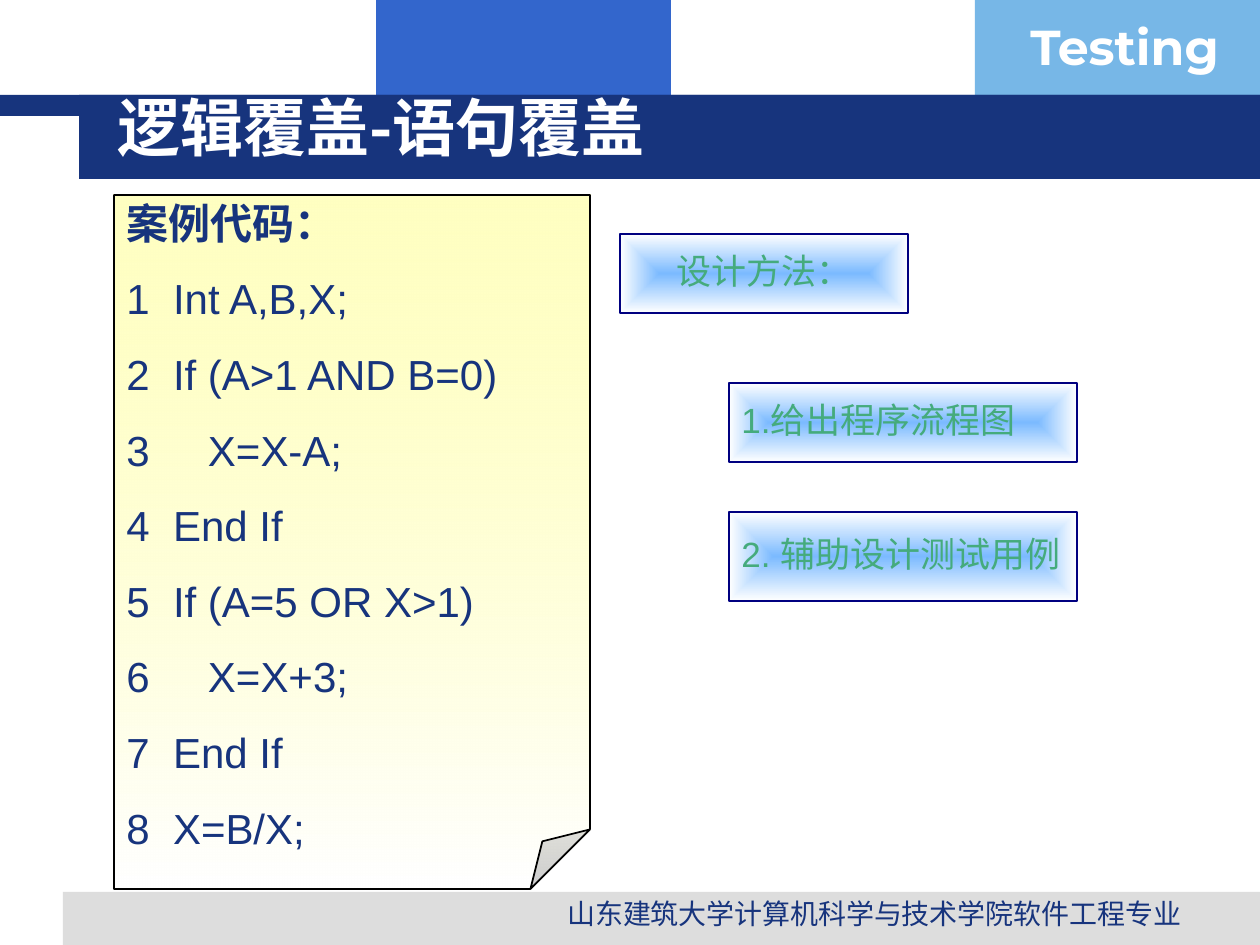
from lxml.etree import SubElement
from pptx import Presentation
from pptx.dml.color import RGBColor
from pptx.enum.shapes import MSO_SHAPE
from pptx.enum.text import MSO_ANCHOR, MSO_AUTO_SIZE, PP_ALIGN
from pptx.oxml import parse_xml
from pptx.oxml.ns import nsdecls, qn
from pptx.util import Emu, Pt

PX = 914400 // 126
NAVY, WHITE, GREEN = "17347D", "FFFFFF", "45AB7D"
CJK = "Noto Sans CJK SC"
CODE = [
    "案例代码：",
    "1  Int A,B,X;",
    "2  If (A>1 AND B=0)",
    "3     X=X-A;",
    "4  End If",
    "5  If (A=5 OR X>1)",
    "6     X=X+3;",
    "7  End If",
    "8  X=B/X;",
]


def px(*lengths):
    return [Emu(n * PX) for n in lengths]


def rgb(color):
    return RGBColor.from_string(color)


def set_text(sp, lines, size, color, font="Arial", bold=False,
             align=PP_ALIGN.LEFT, wrap=True, anchor=MSO_ANCHOR.TOP):
    tf = sp.text_frame
    tf.text = "\n".join(lines)
    tf.word_wrap = wrap
    tf.auto_size = MSO_AUTO_SIZE.NONE
    tf.vertical_anchor = anchor
    for p in tf.paragraphs:
        p.alignment = align
        for r in p.runs:
            r.font.size, r.font.bold, r.font.name = Pt(size), bold, font
            r.font.color.rgb = rgb(color)
            SubElement(r.font._element, qn("a:ea")).set("typeface", CJK)
    return tf


def add_shape(s, kind, box, line=None, width=1):
    sp = s.shapes.add_shape(kind, *px(*box))
    sp.shadow.inherit = False
    if line:
        sp.line.color.rgb = rgb(line)
        sp.line.width = Pt(width)
    else:
        sp.line.fill.background()
    return sp


def add_bar(s, box, color):
    sp = add_shape(s, MSO_SHAPE.RECTANGLE, box)
    sp.fill.solid()
    sp.fill.fore_color.rgb = rgb(color)


def set_gradient(sp, start, end, direction, alpha=100):
    sp.fill.background()
    spPr = sp._element.spPr
    grad = parse_xml(
        f'<a:gradFill {nsdecls("a")} rotWithShape="1"><a:gsLst>'
        f'<a:gs pos="0"><a:srgbClr val="{start}"><a:alpha val="{alpha * 1000}"/></a:srgbClr></a:gs>'
        f'<a:gs pos="100000"><a:srgbClr val="{end}"/></a:gs>'
        f'</a:gsLst>{direction}</a:gradFill>')
    spPr.replace(spPr.find(qn("a:noFill")), grad)


def add_text(s, box, text, size, color, **style):
    set_text(s.shapes.add_textbox(*px(*box)), [text], size, color, **style)


def add_header(s, x, y, w, title):
    add_bar(s, (x + 376, y, 295, 116), "3366CC")
    add_bar(s, (x + 975, y, 285, 116), "77B7E7")
    add_bar(s, (x, y + 95, w, 21), NAVY)
    add_bar(s, (x + 79, y + 95, w - 79, 84), NAVY)
    add_text(s, (x + 1018, y + 10, 243, 72), "Testing", 28, WHITE,
             font="Montserrat", bold=True)
    sp = s.shapes.title
    sp.left, sp.top, sp.width, sp.height = px(x + 105, y + 87, 1075, 78)
    set_text(sp, [title], 36, WHITE, font=CJK, bold=True, anchor=MSO_ANCHOR.MIDDLE)
    s.shapes._spTree.append(sp._element)  # bring the title in front of the bars


def add_footer(s, x, y, w, h, text):
    add_bar(s, (x, y, w, h), "DDDDDD")
    add_text(s, (x + 449, y - 2, 725, 39), text, 16, NAVY, align=PP_ALIGN.CENTER)


def add_code_note(s, box, lines):
    sp = add_shape(s, MSO_SHAPE.FOLDED_CORNER, box, "000000")
    # python-pptx lists no adjustment for this preset
    guides = next(sp._element.spPr.iter(qn("a:avLst")))
    fold = SubElement(guides, qn("a:gd"))
    fold.set("name", "adj")
    fold.set("fmla", "val 12500")
    set_gradient(sp, "FFFF99", WHITE, '<a:lin ang="5400000" scaled="1"/>', alpha=60)
    tf = set_text(sp, lines, 24, NAVY, wrap=False, anchor=MSO_ANCHOR.MIDDLE)
    for p in tf.paragraphs:
        p.line_spacing = 1.5
    tf.paragraphs[0].runs[0].font.bold = True


def add_method_box(s, box, text, align=PP_ALIGN.LEFT):
    sp = add_shape(s, MSO_SHAPE.RECTANGLE, box, "000080", 0.75)
    set_gradient(sp, "7BBAFF", WHITE,
                 '<a:path path="rect"><a:fillToRect l="50000" t="50000" r="50000" b="50000"/></a:path>')
    tf = set_text(sp, [text], 20, GREEN, align=align, wrap=False, anchor=MSO_ANCHOR.MIDDLE)
    tf.margin_top = 0


def add_methods(s, x, y):
    add_method_box(s, (x, y, 288, 79), "设计方法：", PP_ALIGN.CENTER)
    add_method_box(s, (x + 109, y + 149, 348, 79), "1.给出程序流程图")
    add_method_box(s, (x + 109, y + 278, 348, 89), "2. 辅助设计测试用例")


def main():
    prs = Presentation()
    prs.slide_width, prs.slide_height = px(1260, 945)
    s = prs.slides.add_slide(prs.slide_layouts[5])
    add_header(s, 0, 0, 1260, "逻辑覆盖-语句覆盖")
    add_footer(s, 63, 892, 1197, 53, "山东建筑大学计算机科学与技术学院软件工程专业")
    add_code_note(s, (114, 195, 476, 694), CODE)
    add_methods(s, 620, 234)
    prs.save("out.pptx")


if __name__ == "__main__":
    main()
